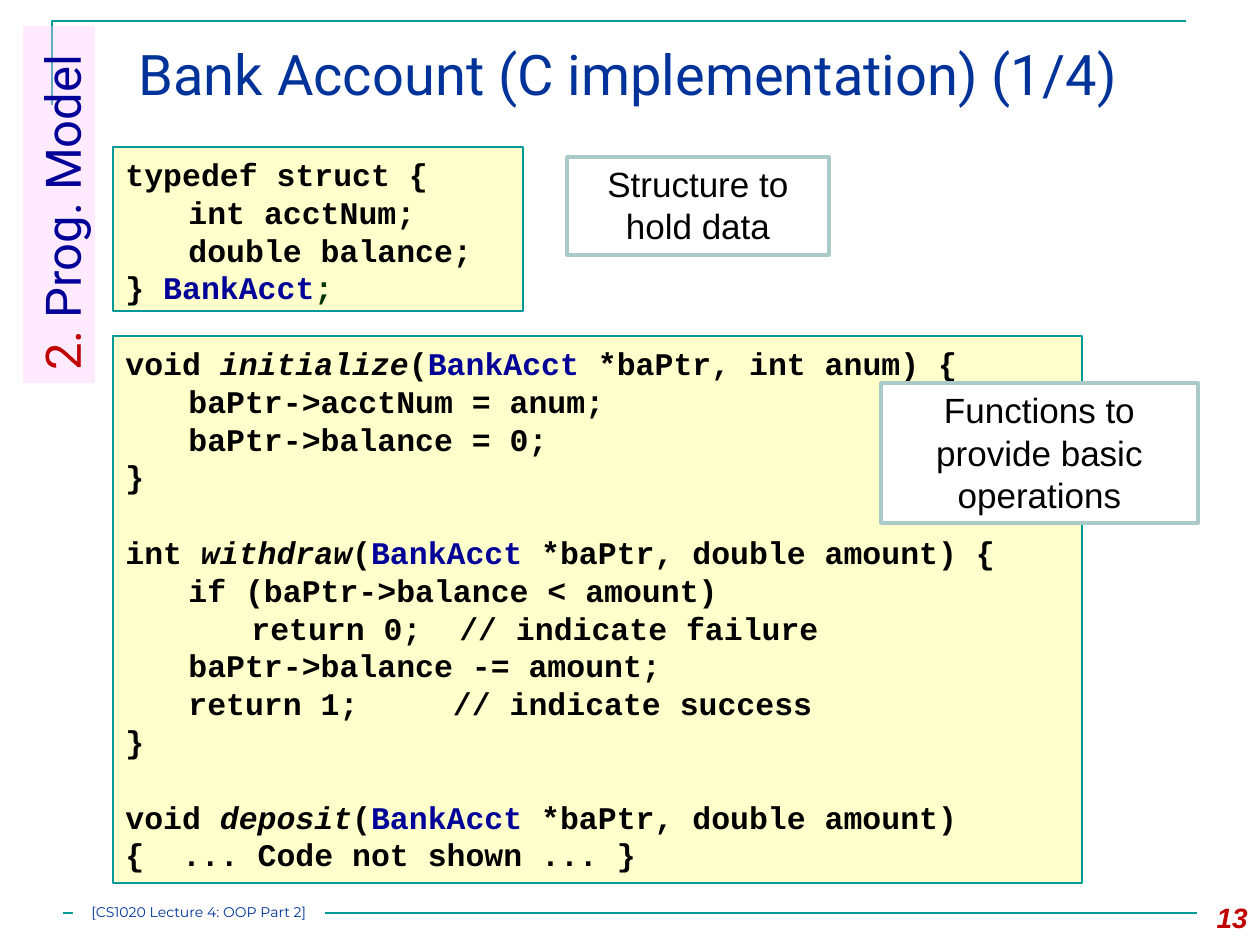
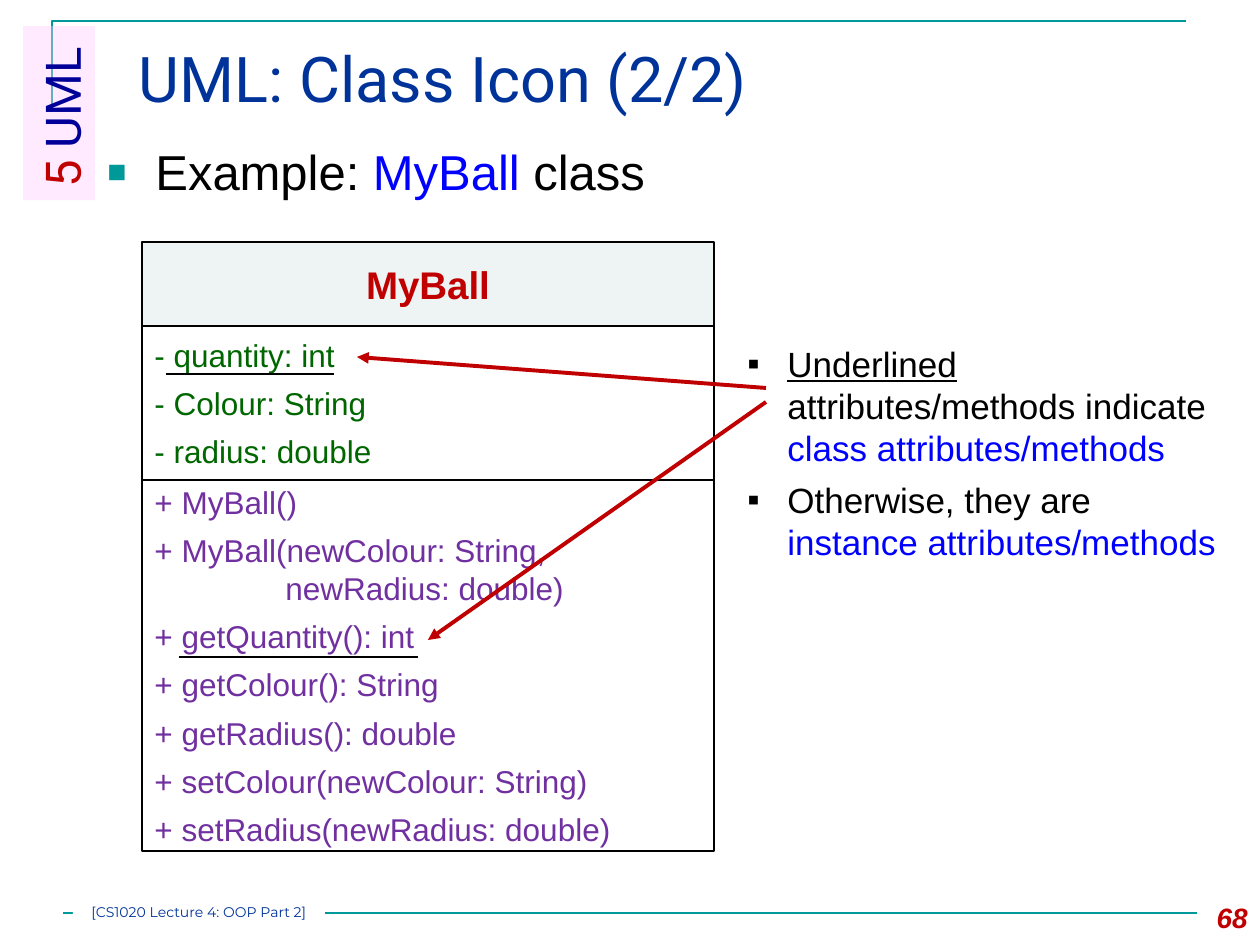
from dataclasses import dataclass

from lxml import etree
from pptx import Presentation
from pptx import util as u
from pptx.dml.color import RGBColor
from pptx.enum import shapes, text
from pptx.oxml.ns import qn

TEAL = RGBColor(0x00, 0x99, 0x99)
TITLE_BLUE = RGBColor(0x00, 0x33, 0x99)
NAVY = RGBColor(0x00, 0x00, 0x99)
BLUE = RGBColor(0x00, 0x00, 0xFF)
RED = RGBColor(0xC0, 0x00, 0x00)
PINK = RGBColor(0xFF, 0xCC, 0xFF)
CREAM = RGBColor(0xFF, 0xFF, 0xCC)
PALE_TEAL = RGBColor(0xEE, 0xF4, 0xF4)
GREY_TEAL = RGBColor(0xAA, 0xCA, 0xCA)
GREEN = RGBColor(0x00, 0x66, 0x00)
DARK_GREEN = RGBColor(0x00, 0x33, 0x00)
PURPLE = RGBColor(0x70, 0x30, 0xA0)
BLACK = RGBColor(0x00, 0x00, 0x00)
WHITE = RGBColor(0xFF, 0xFF, 0xFF)

PX_PER_INCH = 126
LINE_HEIGHT = 1.2
CODE_TAB = 47
LEFT, CENTER, RIGHT = (text.PP_ALIGN.LEFT, text.PP_ALIGN.CENTER,
                       text.PP_ALIGN.RIGHT)
MIDDLE = text.MSO_ANCHOR.MIDDLE


def px(n):
    return round(n * u.Inches(1) / PX_PER_INCH)


def box_emu(box):
    return [px(n) for n in box]


@dataclass
class Style:
    size: float
    color: RGBColor = BLACK
    font: str = "Arial"
    bold: bool = False
    italic: bool = False
    align: int = LEFT
    after: float = 0


@dataclass
class Para:
    """Runs are plain strings or (string, font settings) pairs."""
    runs: list
    before: float = 0
    after: float = None
    indent: int = 0
    hanging: int = 0
    bullet: str = None
    bullet_color: RGBColor = None
    bullet_size: int = 100
    tabs: tuple = ()


def sub(parent, tag, **attrs):
    return etree.SubElement(parent, qn(tag),
                            {k: str(v) for k, v in attrs.items()})


def format_bullet_and_tabs(p, para):
    pPr = p._p.get_or_add_pPr()
    pPr.set("marL", str(px(para.indent)))
    pPr.set("indent", str(-px(para.hanging)))
    if para.bullet:
        if para.bullet_color is not None:
            sub(sub(pPr, "a:buClr"), "a:srgbClr", val=para.bullet_color)
        sub(pPr, "a:buSzPct", val=para.bullet_size * 1000)
        sub(pPr, "a:buFont", typeface="Arial")
        sub(pPr, "a:buChar", char=para.bullet)
    else:
        sub(pPr, "a:buNone")
    if para.tabs:
        tabs = sub(pPr, "a:tabLst")
        for pos in para.tabs:
            sub(tabs, "a:tab", pos=px(pos), algn="l")


def write(sp, paras, style, top=6, anchor=text.MSO_ANCHOR.TOP):
    tf = sp.text_frame
    tf.word_wrap = True
    tf.auto_size = text.MSO_AUTO_SIZE.NONE
    tf.vertical_anchor = anchor
    tf.margin_top = px(top)
    for i, para in enumerate(paras):
        p = tf.paragraphs[0] if i == 0 else tf.add_paragraph()
        format_bullet_and_tabs(p, para)
        p.alignment = style.align
        p.line_spacing = u.Pt(round(style.size * LINE_HEIGHT, 1))
        p.space_before = u.Pt(para.before)
        p.space_after = u.Pt(style.after if para.after is None else para.after)
        for run in para.runs:
            words, changes = (run, {}) if isinstance(run, str) else run
            r = p.add_run()
            r.text = words
            r.font.name = style.font
            r.font.size = u.Pt(style.size)
            r.font.bold = changes.get("bold", style.bold)
            r.font.italic = changes.get("italic", style.italic)
            r.font.underline = changes.get("underline", False)
            r.font.color.rgb = changes.get("color", style.color)


def rect(slide, box, fill, line=None, width=0.75):
    sp = slide.shapes.add_shape(shapes.MSO_SHAPE.RECTANGLE, *box_emu(box))
    sp.shadow.inherit = False
    sp.fill.solid()
    sp.fill.fore_color.rgb = fill
    if line is None:
        sp.line.fill.background()
    else:
        sp.line.color.rgb = line
        sp.line.width = u.Pt(width)
    return sp


def textbox(slide, box, paras, style):
    write(slide.shapes.add_textbox(*box_emu(box)), paras, style)


def line(slide, start, end, color, width, arrow=False):
    cx = slide.shapes.add_connector(shapes.MSO_CONNECTOR.STRAIGHT,
                                    *box_emu(start + end))
    cx.line.color.rgb = color
    cx.line.width = u.Pt(width)
    if arrow:
        sub(cx.line._get_or_add_ln(), "a:tailEnd", type="triangle")
    sub(cx._element.spPr, "a:effectLst")


def corner_frame(slide):
    fb = slide.shapes.build_freeform(px(52), px(105))
    fb.add_line_segments([(px(52), px(21)), (px(1186), px(21))], close=False)
    sp = fb.convert_to_shape()
    sp.shadow.inherit = False
    sp.fill.background()
    sp.line.color.rgb = TEAL
    sp.line.width = u.Pt(1.5)


def section_tab(slide, number, name, height):
    """Pink strip on the left edge, read from bottom to top."""
    left, top, width = 23, 26, 72
    sp = rect(slide, (left + (width - height) / 2, top + (height - width) / 2,
                      height, width), PINK)
    sp.rotation = 270
    sub(sp.fill._xPr.find(".//" + qn("a:srgbClr")), "a:alpha", val=40000)
    write(sp, [Para([(number, {"color": RED}), " " + name])],
          Style(28, NAVY, "Roboto"), top=9)


def footer(slide, number):
    line(slide, (63, 913), (1197, 913), TEAL, 1.5)
    sp = rect(slide, (73, 903, 252, 21), WHITE)
    tf = sp.text_frame
    tf.margin_left = tf.margin_right = tf.margin_bottom = 0
    write(sp, [Para(["[CS1020 Lecture 4: OOP Part 2]"])],
          Style(8, TITLE_BLUE, "Montserrat", align=CENTER), top=0)
    textbox(slide, (1176, 895, 84, 50), [Para([str(number)])],
            Style(16, RED, bold=True, italic=True, align=RIGHT))


def base_slide(prs, title, title_size, number, section, tab_height):
    slide = prs.slides.add_slide(prs.slide_layouts[5])
    corner_frame(slide)
    sp = slide.shapes.title
    sp.left, sp.top, sp.width, sp.height = box_emu((126, 31, 1071, 109))
    write(sp, [Para([title])], Style(title_size, TITLE_BLUE, "Roboto"), top=9)
    section_tab(slide, *section, tab_height)
    footer(slide, number)
    return slide


def code_box(slide, box, blocks):
    """Blocks of code lines, set one empty line apart."""
    style = Style(18, font="Courier New", bold=True)
    paras = []
    for block in blocks:
        for i, runs in enumerate(block):
            gap = style.size * LINE_HEIGHT if paras and i == 0 else 0
            paras.append(Para(runs, before=round(gap, 1),
                              tabs=(CODE_TAB, 2 * CODE_TAB)))
    write(rect(slide, box, CREAM, TEAL), paras, style, top=8)


def callout(slide, box, words):
    write(rect(slide, box, WHITE, GREY_TEAL, 2), [Para([words])],
          Style(20, align=CENTER))


def signature(kind, name, rest):
    return [kind + " ", (name, {"italic": True}), "(",
            ("BankAcct", {"color": NAVY}), " *baPtr, " + rest]


def bank_account_slide(prs):
    slide = base_slide(prs, "Bank Account (C implementation) (1/4)", 32, 13,
                       ("2.", "Prog. Model"), 357)
    code_box(slide, (113, 147, 410, 164), [[
        ["typedef struct {"],
        ["\tint acctNum;"],
        ["\tdouble balance;"],
        ["} ", ("BankAcct", {"color": NAVY}), (";", {"color": DARK_GREEN})],
    ]])
    code_box(slide, (113, 336, 969, 547), [
        [signature("void", "initialize", "int anum) {"),
         ["\tbaPtr->acctNum = anum;"],
         ["\tbaPtr->balance = 0;"],
         ["}"]],
        [signature("int", "withdraw", "double amount) {"),
         ["\tif (baPtr->balance < amount)"],
         ["\t\treturn 0;  // indicate failure"],
         ["\tbaPtr->balance -= amount;"],
         ["\treturn 1;     // indicate success"],
         ["}"]],
        [signature("void", "deposit", "double amount)"),
         ["{  ... Code not shown ... }"]],
    ])
    callout(slide, (567, 157, 262, 98), "Structure to hold data")
    callout(slide, (881, 383, 317, 140), "Functions to provide basic operations")


def class_icon(slide, left, top, width):
    members = Style(18, GREEN, after=6)
    methods = Style(18, PURPLE, after=6)
    parts = [
        (84, PALE_TEAL, Style(22, RED, bold=True, align=CENTER),
         [Para(["MyBall"])]),
        (154, WHITE, members,
         [Para([s]) for s in ("- quantity: int", "- Colour: String",
                              "- radius: double")]),
        (371, WHITE, methods,
         [Para(["+ MyBall()"]),
          Para(["+ MyBall(newColour: String,"], after=0),
          Para(["newRadius: double)"], indent=131)]
         + [Para(["+ " + s]) for s in (
             "getQuantity(): int", "getColour(): String",
             "getRadius(): double", "setColour(newColour: String)",
             "setRadius(newRadius: double)")]),
    ]
    y = top
    for height, fill, style, paras in parts:
        write(rect(slide, (left, y, width, height), fill, BLACK), paras, style,
              anchor=MIDDLE)
        y += height
    for x1, x2, dy in ((24, 192, 132), (37, 276, 415)):
        line(slide, (left + x1, top + dy), (left + x2, top + dy), BLACK, 1.5)


def class_icon_slide(prs):
    slide = base_slide(prs, "UML: Class Icon (2/2)", 36, 68, ("5", "UML"), 174)
    blue = {"color": BLUE}
    textbox(slide, (95, 136, 735, 89),
            [Para(["Example: ", ("MyBall", blue), " class"], indent=48,
                  hanging=48, bullet="■", bullet_color=TEAL, bullet_size=65)],
            Style(28))
    class_icon(slide, 142, 242, 572)
    note = dict(indent=40, hanging=40, bullet="▪")
    textbox(slide, (735, 336, 494, 236), [
        Para([("Underlined", {"underline": True}),
              " attributes/methods indicate ",
              ("class attributes/methods", blue)], **note),
        Para(["Otherwise, they are ", ("instance attributes/methods", blue)],
             before=6, **note),
    ], Style(20))
    for start, end in (((766, 388), (357, 357)), ((766, 402), (428, 640))):
        line(slide, start, end, RED, 2.25, arrow=True)


def main():
    prs = Presentation()
    prs.slide_width, prs.slide_height = px(1260), px(945)
    bank_account_slide(prs)
    class_icon_slide(prs)
    prs.save("out.pptx")


if __name__ == "__main__":
    main()
